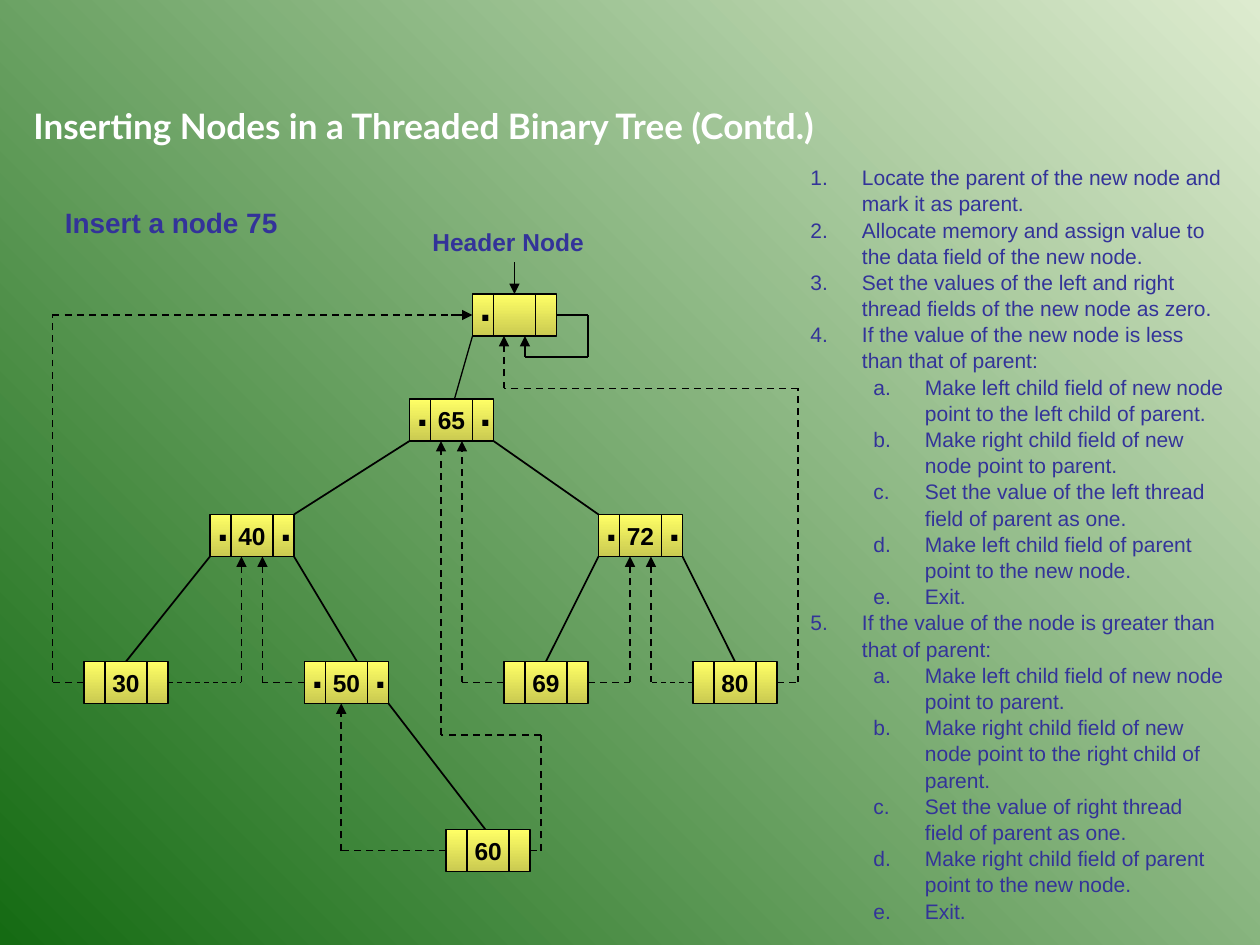
import itertools

import pptx
import pptx.dml.color
import pptx.enum.dml
import pptx.enum.shapes
import pptx.enum.text
import pptx.oxml.ns
import pptx.util
from lxml import etree

Cm, Pt = pptx.util.Cm, pptx.util.Pt
RGBColor = pptx.dml.color.RGBColor
ALIGN, ANCHOR = pptx.enum.text.PP_ALIGN, pptx.enum.text.MSO_ANCHOR
qn = pptx.oxml.ns.qn

BLACK = RGBColor(0x00, 0x00, 0x00)
WHITE = RGBColor(0xFF, 0xFF, 0xFF)
INDIGO = RGBColor(0x33, 0x33, 0x99)
YELLOW = RGBColor(0xFF, 0xFF, 0x66)
OLIVE = RGBColor(0xCA, 0xCA, 0x51)
PALE_GREEN = RGBColor(0xDD, 0xEB, 0xCF)
DARK_GREEN = RGBColor(0x15, 0x6B, 0x13)

GRID = 2.54 / 12  # the drawing sits on a grid of twelfths of an inch
NODE_W, NODE_H, FIELD_W = 8, 4, 2

# value: (left, top, fields holding a pointer dot)
NODES = {
    "": (45, 28, "L"),
    "65": (39, 38, "LR"),
    "40": (20, 49, "LR"),
    "72": (57, 49, "LR"),
    "30": (8, 63, ""),
    "50": (29, 63, "LR"),
    "69": (48, 63, ""),
    "80": (66, 63, ""),
    "60": (42.5, 79, ""),
}
EDGES = [
    ((39, 42), (28, 49)), ((47, 42), (57, 49)),
    ((20, 53), (12, 63)), ((28, 53), (34, 63)),
    ((57, 53), (52, 63)), ((65, 53), (70, 63)),
    ((37, 67), (47, 80)),
]
THREADS = [
    [(29, 65), (25, 65), (25, 53)],
    [(48, 65), (44, 65), (44, 42)],
    [(56, 65), (60, 65), (60, 53)],
    [(74, 65), (76, 65), (76, 37), (48, 37), (48, 32)],
    [(42.5, 81), (32.5, 81), (32.5, 67)],
    [(50.5, 81), (51.5, 81), (51.5, 70), (42, 70), (42, 42)],
]
THIN_START_THREADS = [
    [(16, 65), (23, 65), (23, 53)],
    [(66, 65), (62, 65), (62, 53)],
]
STEPS = [
    ("Locate the parent of the new node and mark it as parent.", []),
    ("Allocate memory and assign value to the data field of the new node.", []),
    ("Set the values of the left and right thread fields of the new node as zero.", []),
    ("If the value of the new node is less than that of parent:", [
        "Make left child field of new node point to the left child of parent.",
        "Make right child field of new node point to parent.",
        "Set the value of the left thread field of parent as one.",
        "Make left child field of parent point to the new node.",
        "Exit."]),
    ("If the value of the node is greater than that of parent:", [
        "Make left child field of new node point to parent.",
        "Make right child field of new node point to the right child of parent.",
        "Set the value of right thread field of parent as one.",
        "Make right child field of parent point to the new node.",
        "Exit."]),
]


def grid(*values):
    return [Cm(v * GRID) for v in values]


def write(p, text, size=14, color=BLACK, bold=True, font="Arial", align=ALIGN.LEFT):
    p.alignment = align
    r = p.add_run()
    r.text = text
    r.font.size, r.font.bold, r.font.name = Pt(size), bold, font
    r.font.color.rgb = color


def number(p, level):
    """Give a paragraph automatic numbering: 1. at level 0, a. at level 1."""
    p.level = level
    pPr = p._p.get_or_add_pPr()
    pPr.set("marL", str(Cm(1.04 + 1.27 * level)))
    pPr.set("indent", str(Cm(-1.04)))
    clr = etree.SubElement(pPr, qn("a:buClr"))
    etree.SubElement(clr, qn("a:srgbClr"), val=str(INDIGO))
    scheme = ("arabicPeriod", "alphaLcPeriod")[level]
    etree.SubElement(pPr, qn("a:buAutoNum"), type=scheme)


def gradient(fill, colors, angle):
    fill.gradient()
    fill.gradient_angle = angle
    for stop, color, position in zip(fill.gradient_stops, colors, (0, 1)):
        stop.color.rgb = color
        stop.position = position


class TreeSlide:
    line_width = 1

    def __init__(self, prs):
        self.s = prs.slides.add_slide(prs.slide_layouts[5])
        gradient(self.s.background.fill, (PALE_GREEN, DARK_GREEN), 225)

    def title(self, text):
        sp = self.s.shapes.title
        sp.left, sp.top, sp.width, sp.height = Cm(0.42), Cm(1.98), Cm(24.98), Cm(1.12)
        tf = sp.text_frame
        tf.vertical_anchor = ANCHOR.TOP
        tf.auto_size = pptx.enum.text.MSO_AUTO_SIZE.NONE
        write(tf.paragraphs[0], text, size=20, color=WHITE, font="Lato")

    def textbox(self, left, top, width, height, wrap=True):
        tf = self.s.shapes.add_textbox(*grid(left, top, width, height)).text_frame
        tf.word_wrap = wrap
        return tf

    def label(self, text, *box, wrap=True, **style):
        write(self.textbox(*box, wrap=wrap).paragraphs[0], text, **style)

    def line(self, start, end, width=line_width, dashed=False, arrow=False):
        cx = self.s.shapes.add_connector(
            pptx.enum.shapes.MSO_CONNECTOR.STRAIGHT, *grid(*start, *end))
        cx.line.color.rgb = BLACK
        cx.line.width = Pt(width)
        if dashed:
            cx.line.dash_style = pptx.enum.dml.MSO_LINE.DASH
        if arrow:
            etree.SubElement(cx.line._get_or_add_ln(), qn("a:tailEnd"), type="triangle")
        etree.SubElement(cx._element.spPr, qn("a:effectLst"))

    def route(self, points, dashed=True, arrow=True, first_width=line_width):
        """Draw a bent line whose last segment carries the arrowhead."""
        for i, (start, end) in enumerate(itertools.pairwise(points)):
            self.line(start, end, width=self.line_width if i else first_width,
                      dashed=dashed, arrow=arrow and end == points[-1])

    def node(self, value, left, top, dots):
        sp = self.s.shapes.add_shape(pptx.enum.shapes.MSO_SHAPE.RECTANGLE,
                                     *grid(left, top, NODE_W, NODE_H))
        sp.shadow.inherit = False
        gradient(sp.fill, (YELLOW, OLIVE), 270)
        sp.line.color.rgb = BLACK
        sp.line.width = Pt(self.line_width)
        if value:
            sp.text_frame.word_wrap = False
            sp.text_frame.vertical_anchor = ANCHOR.MIDDLE
            write(sp.text_frame.paragraphs[0], value, align=ALIGN.CENTER)
        for x in (left + FIELD_W, left + NODE_W - FIELD_W):
            self.line((x, top), (x, top + NODE_H))
        for side in dots:
            x = left - 0.5 + (NODE_W - FIELD_W) * (side == "R")
            self.label(".", x, top - 2, 3.5, 6, wrap=False, size=24)

    def steps(self, steps, *box):
        tf = self.textbox(*box)
        items = [(text, level) for step, substeps in steps
                 for text, level in [(step, 0)] + [(sub, 1) for sub in substeps]]
        for i, (text, level) in enumerate(items):
            p = tf.add_paragraph() if i else tf.paragraphs[0]
            p.line_spacing = 1.04
            number(p, level)
            write(p, text, size=12, color=INDIGO, bold=False)


def main():
    prs = pptx.Presentation()
    prs.slide_width, prs.slide_height = Cm(25.4), Cm(19.05)
    tree = TreeSlide(prs)
    tree.title("Inserting Nodes in a Threaded Binary Tree (Contd.)")
    tree.label("Insert a node 75", 5, 19, 27, 4.4, size=16, color=INDIGO)
    tree.label("Header Node", 40, 21, 19, 4, color=INDIGO)

    tree.line((45, 32), (43, 39), width=0.75)
    for start, end in EDGES:
        tree.line(start, end)
    for value, (left, top, dots) in NODES.items():
        tree.node(value, left, top, dots)

    tree.route([(49, 25), (49, 28)], dashed=False)
    tree.route([(53, 30), (56, 30), (56, 34), (50, 34), (50, 32)], dashed=False)
    tree.route([(8, 65), (5, 65), (5, 30), (43, 30)], arrow=False)
    tree.line((43, 30), (45, 30), arrow=True)
    for points in THREADS:
        tree.route(points)
    for points in THIN_START_THREADS:
        tree.route(points, first_width=0.75)

    tree.steps(STEPS, 76, 15, 42, 70.8)
    prs.save("out.pptx")


if __name__ == "__main__":
    main()
